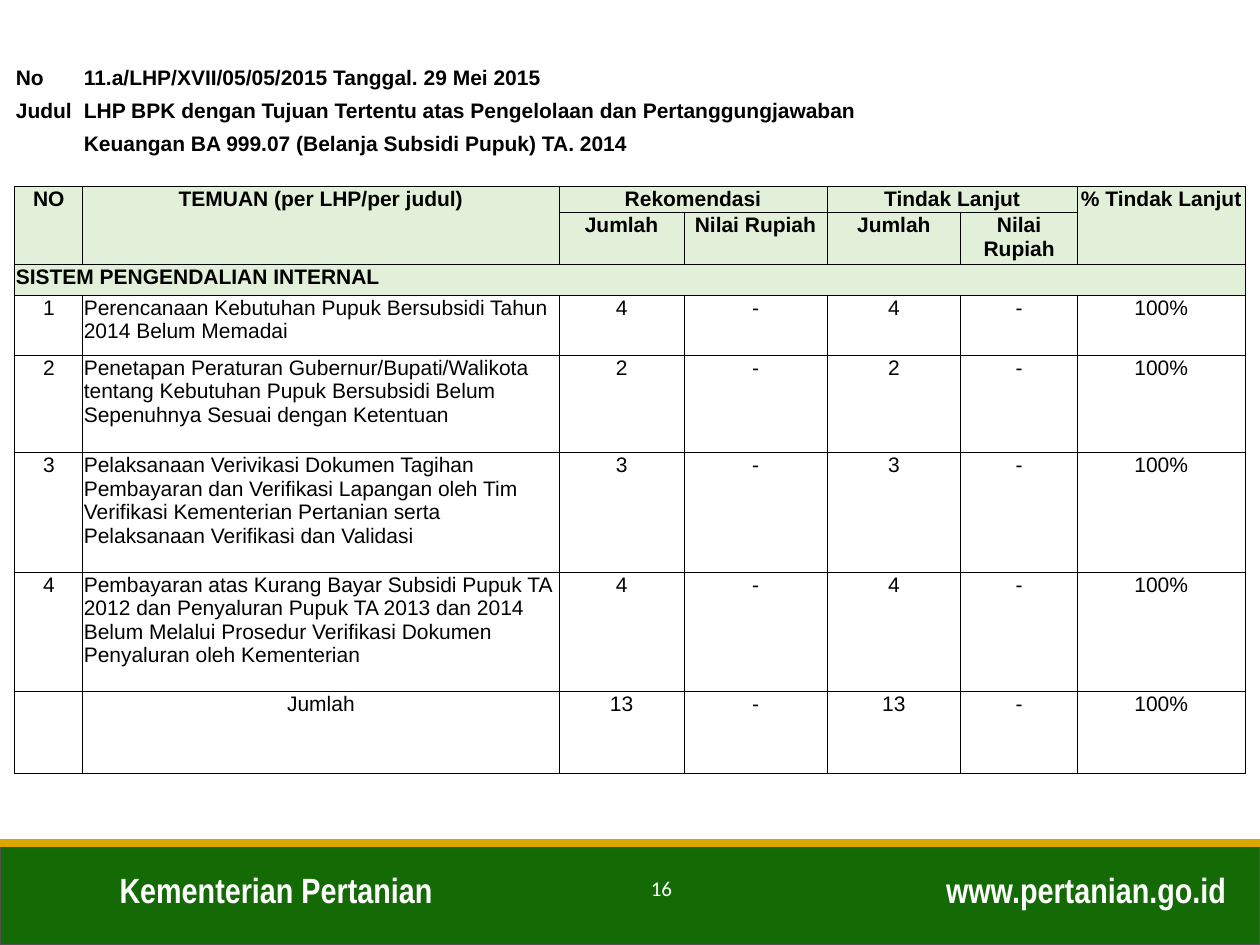
from itertools import product

from lxml.etree import Element, SubElement
from pptx import Presentation
from pptx.dml.color import RGBColor
from pptx.enum.shapes import MSO_CONNECTOR as Connector, MSO_SHAPE as Shape
from pptx.enum.text import PP_ALIGN as Align
from pptx.oxml.ns import qn
from pptx.util import Cm, Pt

BLACK = RGBColor(0x00, 0x00, 0x00)
WHITE = RGBColor(0xFF, 0xFF, 0xFF)
PALE_GREEN = RGBColor(0xE2, 0xF0, 0xD9)
DARK_GREEN = RGBColor(0x14, 0x6B, 0x05)
GOLD = RGBColor(0xDA, 0xA6, 0x00)
GREY = RGBColor(0x52, 0x52, 0x52)

COLUMN_WIDTHS = (1.37, 9.6, 2.52, 1.46, 1.42, 1, 1.7, 1.5, 0.85, 3.38)
ROW_HEIGHTS = (0.66, 0.66, 1.12, 0.52, 0.52, 0.62, 1.21, 1.97, 2.41, 2.41, 1.64)
HEADING_ROWS, GREEN_ROWS = range(3), range(3, 6)
FIRST_FINDING_ROW = 6
FINDING_COLUMNS = ((0, 1), (1, 1), (2, 1), (3, 2), (5, 2), (7, 2), (9, 1))

# Each entry holds row, column, rows spanned, columns spanned, text and alignment.
HEADING_CELLS = (
    (0, 0, 1, 1, "No", Align.LEFT),
    (0, 1, 1, 3, "11.a/LHP/XVII/05/05/2015 Tanggal. 29 Mei 2015", Align.LEFT),
    (0, 4, 1, 2, "", Align.LEFT),
    (0, 6, 1, 2, "", Align.LEFT),
    (0, 8, 1, 2, "", Align.LEFT),
    (1, 0, 1, 1, "Judul", Align.LEFT),
    (1, 1, 1, 9, "LHP BPK dengan Tujuan Tertentu atas Pengelolaan dan "
     "Pertanggungjawaban", Align.LEFT),
    (2, 1, 1, 4, "Keuangan BA 999.07 (Belanja Subsidi Pupuk) TA. 2014", Align.LEFT),
    (2, 6, 1, 3, "", Align.LEFT),
    (3, 0, 2, 1, "NO", Align.CENTER),
    (3, 1, 2, 1, "TEMUAN (per LHP/per judul)", Align.CENTER),
    (3, 2, 1, 3, "Rekomendasi", Align.CENTER),
    (3, 5, 1, 4, "Tindak Lanjut", Align.CENTER),
    (3, 9, 2, 1, "% Tindak Lanjut", Align.CENTER),
    (4, 2, 1, 1, "Jumlah", Align.CENTER),
    (4, 3, 1, 2, "Nilai Rupiah", Align.CENTER),
    (4, 5, 1, 2, "Jumlah", Align.CENTER),
    (4, 7, 1, 2, "Nilai Rupiah", Align.CENTER),
    (5, 0, 1, 10, "SISTEM PENGENDALIAN INTERNAL", Align.LEFT),
)
FINDINGS = (
    ("1", "Perencanaan Kebutuhan Pupuk Bersubsidi Tahun 2014 Belum Memadai", "4"),
    ("2", "Penetapan Peraturan Gubernur/Bupati/Walikota tentang Kebutuhan Pupuk "
     "Bersubsidi Belum Sepenuhnya Sesuai dengan Ketentuan", "2"),
    ("3", "Pelaksanaan Verivikasi Dokumen Tagihan Pembayaran dan Verifikasi "
     "Lapangan oleh Tim Verifikasi Kementerian Pertanian serta Pelaksanaan "
     "Verifikasi dan Validasi", "3"),
    ("4", "Pembayaran atas Kurang Bayar Subsidi Pupuk TA 2012 dan Penyaluran "
     "Pupuk TA 2013 dan 2014 Belum Melalui Prosedur Verifikasi Dokumen "
     "Penyaluran oleh Kementerian", "4"),
    ("", "Jumlah", "13"),
)


def add_span(para, text, font, size, color, bold=False):
    """Add one formatted run to a paragraph."""
    span = para.add_run()
    span.text = text
    span.font.name, span.font.size, span.font.bold = font, Pt(size), bold
    span.font.color.rgb = color


def set_borders(cell, visible_sides):
    """Draw thin black borders on the named sides and none on the others."""
    properties = cell._tc.get_or_add_tcPr()
    for position, side in enumerate("LRTB"):
        border = Element(qn(f"a:ln{side}"), w=str(Pt(0.5)))
        if side in visible_sides:
            fill = SubElement(border, qn("a:solidFill"))
            SubElement(fill, qn("a:srgbClr"), val=str(BLACK))
        else:
            SubElement(border, qn("a:noFill"))
        properties.insert(position, border)


def style_cell(cell, row):
    """Give a cell the margins, fill and borders of its row."""
    cell.margin_left = cell.margin_right = cell.margin_top = Cm(0.02)
    cell.margin_bottom = Cm(0)
    cell.fill.solid()
    cell.fill.fore_color.rgb = PALE_GREEN if row in GREEN_ROWS else WHITE
    if row in HEADING_ROWS:
        set_borders(cell, "B" if row == HEADING_ROWS[-1] else "")
    else:
        set_borders(cell, "LRTB")


def fill_cell(table, row, column, height, width, text, align, bold):
    """Merge the spanned cells and write the text into them."""
    cell = table.cell(row, column)
    if height * width > 1:
        cell.merge(table.cell(row + height - 1, column + width - 1))
    if text:
        para = cell.text_frame.paragraphs[0]
        para.alignment = align
        add_span(para, text, "Arial", 12, BLACK, bold)


def add_findings_table(page, left, top):
    """Add the table of audit findings with its report heading."""
    frame = page.shapes.add_table(
        len(ROW_HEIGHTS), len(COLUMN_WIDTHS), Cm(left), Cm(top),
        Cm(sum(COLUMN_WIDTHS)), Cm(sum(ROW_HEIGHTS)))
    table = frame.table
    table.first_row = table.horz_banding = False
    for column, width in zip(table.columns, COLUMN_WIDTHS):
        column.width = Cm(width)
    for row, height in zip(table.rows, ROW_HEIGHTS):
        row.height = Cm(height)
    for row, column in product(range(len(ROW_HEIGHTS)), range(len(COLUMN_WIDTHS))):
        cell = table.cell(row, column)
        style_cell(cell, row)
        SubElement(cell.text_frame.paragraphs[0]._p, qn("a:endParaRPr"), sz="1200")
    for entry in HEADING_CELLS:
        fill_cell(table, *entry, bold=True)
    for row, (number, finding, count) in enumerate(FINDINGS, FIRST_FINDING_ROW):
        texts = (number, finding, count, "-", count, "-", "100%")
        for (column, width), text in zip(FINDING_COLUMNS, texts):
            is_finding = column == 1 and number
            align = Align.LEFT if is_finding else Align.CENTER
            fill_cell(table, row, column, 1, width, text, align, bold=False)


def add_label(page, left, top, width, height, text, align, font, size, bold):
    """Add a white one-line label."""
    box = page.shapes.add_textbox(Cm(left), Cm(top), Cm(width), Cm(height))
    box.text_frame.word_wrap = True
    para = box.text_frame.paragraphs[0]
    para.alignment = align
    add_span(para, text, font, size, WHITE, bold)


def add_footer(page, left, top, width, height):
    """Add the green band with its gold edge, names and page number."""
    band = page.shapes.add_shape(
        Shape.RECTANGLE, Cm(left), Cm(top), Cm(width), Cm(height))
    band.shadow.inherit = False
    band.fill.solid()
    band.fill.fore_color.rgb = DARK_GREEN
    band.line.color.rgb = GREY
    band.line.width = Pt(1)
    edge = page.shapes.add_connector(
        Connector.STRAIGHT, Cm(left), Cm(top), Cm(left + width), Cm(top))
    edge.line.color.rgb = GOLD
    edge.line.width = Pt(4.5)
    SubElement(edge._element.spPr, qn("a:effectLst"))
    add_label(page, left + 2.16, top + 0.38, 9.3, 1.12,
              "Kementerian Pertanian", Align.LEFT, "Arial Narrow", 20, True)
    add_label(page, left + 17.9, top + 0.38, 7.07, 1.12,
              "www.pertanian.go.id", Align.RIGHT, "Arial Narrow", 20, True)
    add_label(page, left + width / 2, top + 0.53, 1.27, 1.09,
              "16", Align.CENTER, "Calibri", 12, False)


def main():
    """Build the deck and save it."""
    deck = Presentation()
    deck.slide_width, deck.slide_height = Cm(25.4), Cm(19.05)
    page = deck.slides.add_slide(deck.slide_layouts[6])
    add_footer(page, 0, 17, 25.4, 2.05)
    add_findings_table(page, 0.3, 1.32)
    deck.save("out.pptx")


if __name__ == "__main__":
    main()
